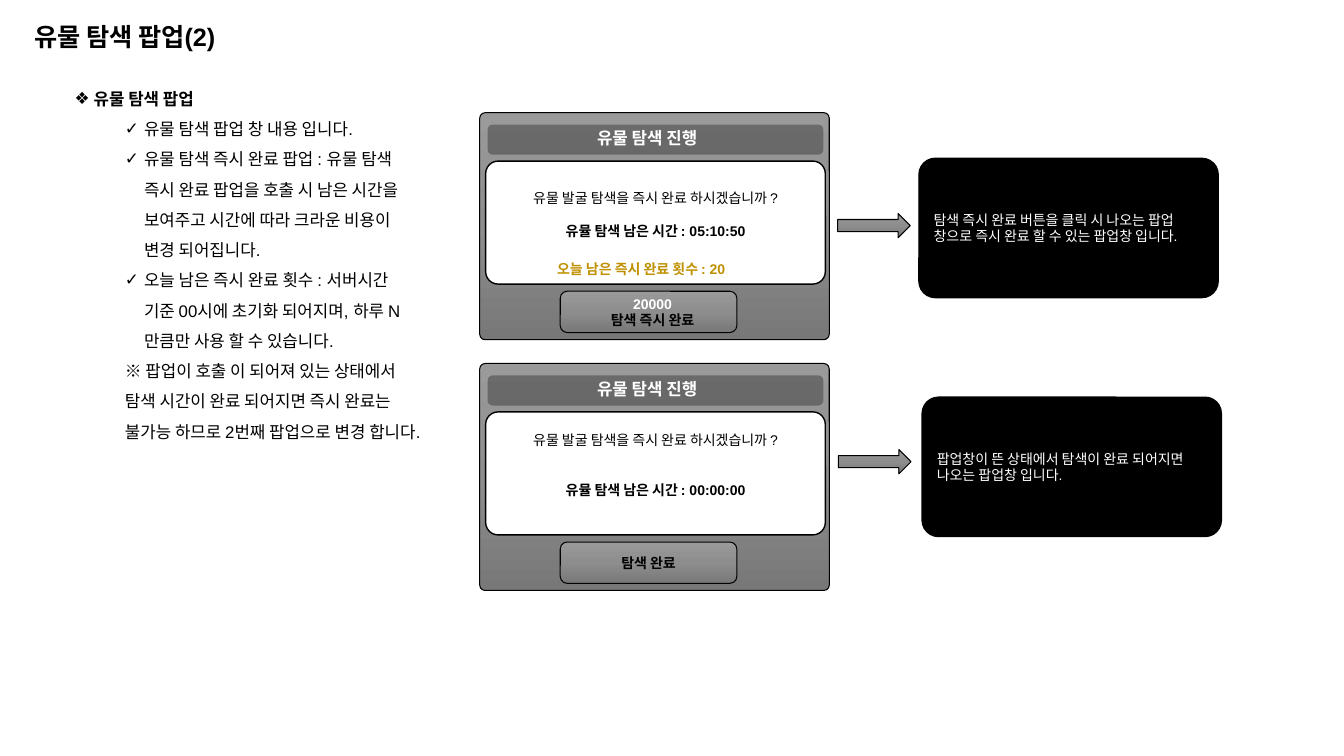
from copy import deepcopy

from lxml.etree import SubElement
from pptx import Presentation
from pptx.dml.color import RGBColor
from pptx.enum.shapes import MSO_SHAPE
from pptx.enum.text import MSO_ANCHOR, PP_ALIGN
from pptx.oxml.ns import qn
from pptx.util import Cm, Pt

BLACK = RGBColor(0x00, 0x00, 0x00)
WHITE = RGBColor(0xFF, 0xFF, 0xFF)
GOLD = RGBColor(0xBF, 0x90, 0x00)
STEEL = (
    (0, RGBColor(0x9A, 0x9A, 0x9A)),
    (0.5, RGBColor(0x8D, 0x8D, 0x8D)),
    (1, RGBColor(0x78, 0x78, 0x78)),
)


class Board:
    font = "Arial"

    def __init__(self, slide):
        self.slide = slide

    def caption(self, shape, text, size=10, color=BLACK, bold=False,
                align=PP_ALIGN.LEFT, anchor=MSO_ANCHOR.TOP):
        frame = shape.text_frame
        frame.word_wrap = True
        frame.vertical_anchor = anchor
        frame.margin_left = frame.margin_right = Cm(0.25)
        frame.margin_top = frame.margin_bottom = Cm(0.13)
        frame.text = text
        for line in frame.paragraphs:
            line.alignment = align
            for run in line.runs:
                run.font.name = self.font
                run.font.size = Pt(size)
                run.font.bold = bold
                run.font.color.rgb = color
        return frame

    def label(self, left, top, width, height, text, **style):
        box = self.slide.shapes.add_textbox(
            Cm(left), Cm(top), Cm(width), Cm(height))
        return self.caption(box, text, **style)

    def shape(self, kind, left, top, width, height, fill, line=None, round=None):
        shape = self.slide.shapes.add_shape(
            kind, Cm(left), Cm(top), Cm(width), Cm(height))
        shape.shadow.inherit = False
        if round is not None:
            shape.adjustments[0] = round
        if fill is STEEL:
            self.shade(shape)
        else:
            shape.fill.solid()
            shape.fill.fore_color.rgb = fill
        if line:
            shape.line.color.rgb = BLACK
            shape.line.width = Pt(line)
        else:
            shape.line.fill.background()
        return shape

    def panel(self, *place, **look):
        return self.shape(MSO_SHAPE.ROUNDED_RECTANGLE, *place, **look)

    def shade(self, shape):
        shape.fill.gradient()
        shape.fill.gradient_angle = 270
        stops = shape._element.spPr.find(".//" + qn("a:gsLst"))
        stops.insert(1, deepcopy(stops[0]))
        for stop, (place, color) in zip(shape.fill.gradient_stops, STEEL):
            stop.position = place
            stop.color.rgb = color

    def fade(self, shape, share):
        color = shape._element.spPr.find(".//" + qn("a:srgbClr"))
        SubElement(color, qn("a:alpha")).set("val", str(share * 1000))

    def popup(self, top, time, gap, button):
        left = 12.09
        self.panel(left, top, 8.81, 5.72, fill=STEEL, line=0.75, round=0.024)
        body = self.panel(left + 0.15, top + 1.22, 8.56, 3.1,
                          fill=WHITE, line=1, round=0.101)
        frame = self.caption(
            body, "유물 발굴 탐색을 즉시 완료 하시겠습니까 ?\n유뮬 탐색 남은 시간 : " + time,
            align=PP_ALIGN.CENTER, anchor=MSO_ANCHOR.MIDDLE)
        frame.margin_bottom = Cm(0.55)
        last = frame.paragraphs[1]
        last.space_before = Pt(gap)
        last.runs[0].font.bold = True
        bar = self.panel(left + 0.2, top + 0.3, 8.46, 0.76,
                         fill=BLACK, round=0.167)
        self.fade(bar, 30)
        self.label(left + 0.08, top + 0.25, 8.28, 0.76, "유물 탐색 진행",
                   size=12, color=WHITE, bold=True, align=PP_ALIGN.CENTER)
        key = self.panel(left + 2.03, top + 4.5, 4.45, 1.04,
                         fill=STEEL, line=0.75, round=0.167)
        return self.caption(key, button, bold=True, align=PP_ALIGN.CENTER,
                            anchor=MSO_ANCHOR.MIDDLE)

    def arrow(self, left, top):
        self.shape(MSO_SHAPE.RIGHT_ARROW, left, top, 1.83, 0.61,
                   fill=STEEL, line=0.75)

    def note(self, left, top, text):
        box = self.panel(left, top, 7.54, 3.51, fill=BLACK, line=1, round=0.117)
        self.caption(box, text, color=WHITE, anchor=MSO_ANCHOR.MIDDLE)

    def outline(self, left, top, width, height, items):
        text = "\n".join(item[-1] for item in items)
        frame = self.label(left, top, width, height, text, size=12)
        for line, (level, mark, indent, _) in zip(frame.paragraphs, items):
            line.level = level
            line.line_spacing = 1.5
            line.runs[0].font.bold = level == 0
            props = line._p.get_or_add_pPr()
            props.set("marL", str(Cm(indent)))
            props.set("indent", str(-Cm(0.48) if mark else 0))
            if mark:
                tint = SubElement(props, qn("a:buClr"))
                SubElement(tint, qn("a:srgbClr")).set("val", str(BLACK))
                SubElement(props, qn("a:buFont")).set("typeface", self.font)
                SubElement(props, qn("a:buChar")).set("char", mark)
            else:
                SubElement(props, qn("a:buNone"))


def main():
    deck = Presentation()
    deck.slide_width = Cm(33.87)
    deck.slide_height = Cm(19.05)
    board = Board(deck.slides.add_slide(deck.slide_layouts[6]))

    board.label(0.61, 0.41, 5.64, 1.02, "유물 탐색 팝업(2)", size=18, bold=True)
    board.outline(1.63, 1.85, 9.25, 10.26, (
        (0, "❖", 0.48, "유물 탐색 팝업"),
        (1, "✓", 1.75, "유물 탐색 팝업 창 내용 입니다."),
        (1, "✓", 1.75, "유물 탐색 즉시 완료 팝업 : 유물 탐색 즉시 완료 팝업을 호출 시 "
         "남은 시간을 보여주고 시간에 따라 크라운 비용이 변경 되어집니다."),
        (1, "✓", 1.75, "오늘 남은 즉시 완료 횟수 : 서버시간 기준 00시에 초기화 되어지며, "
         "하루 N 만큼만 사용 할 수 있습니다."),
        (1, None, 1.27, "※ 팝업이 호출 이 되어져 있는 상태에서 탐색 시간이 완료 되어지면 "
         "즉시 완료는 불가능 하므로 2번째 팝업으로 변경 합니다."),
    ))

    price = board.popup(2.84, "05:10:50", 12, "20000\n탐색 즉시 완료")
    price.margin_left = Cm(0.45)
    price.paragraphs[0].runs[0].font.color.rgb = WHITE
    board.label(13.79, 6.43, 5.33, 0.69, "오늘 남은 즉시 완료 횟수 : 20",
                color=GOLD, bold=True)
    board.popup(9.16, "00:00:00", 24, "탐색 완료")

    board.arrow(21.11, 5.38)
    board.note(23.16, 3.99, "탐색 즉시 완료 버튼을 클릭 시 나오는 팝업 창으로 "
               "즉시 완료 할 수 있는 팝업창 입니다.")
    board.arrow(21.13, 11.33)
    board.note(23.24, 10.01, "팝업창이 뜬 상태에서 탐색이 완료 되어지면 "
               "나오는 팝업창 입니다.")
    deck.save("out.pptx")


if __name__ == "__main__":
    main()
